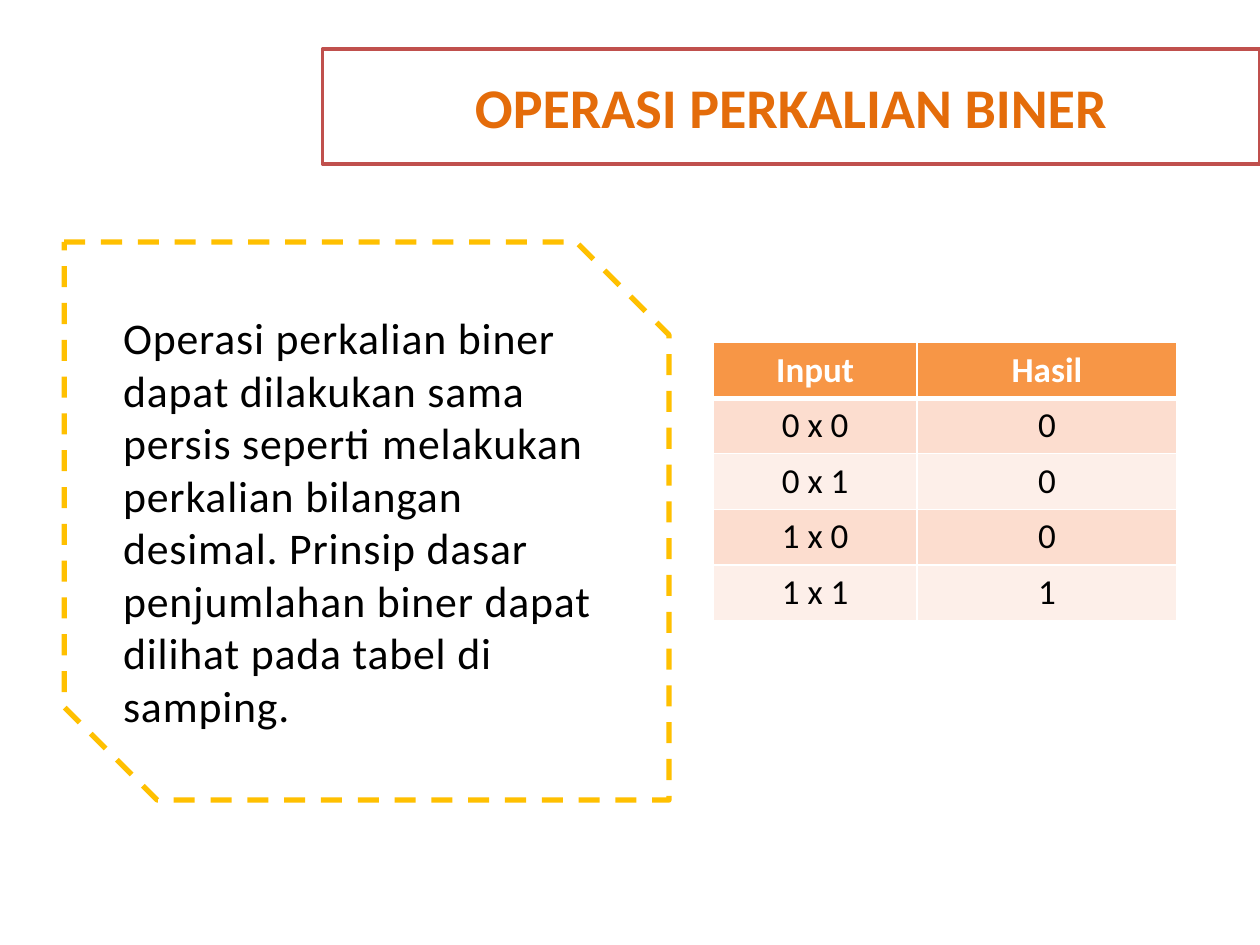
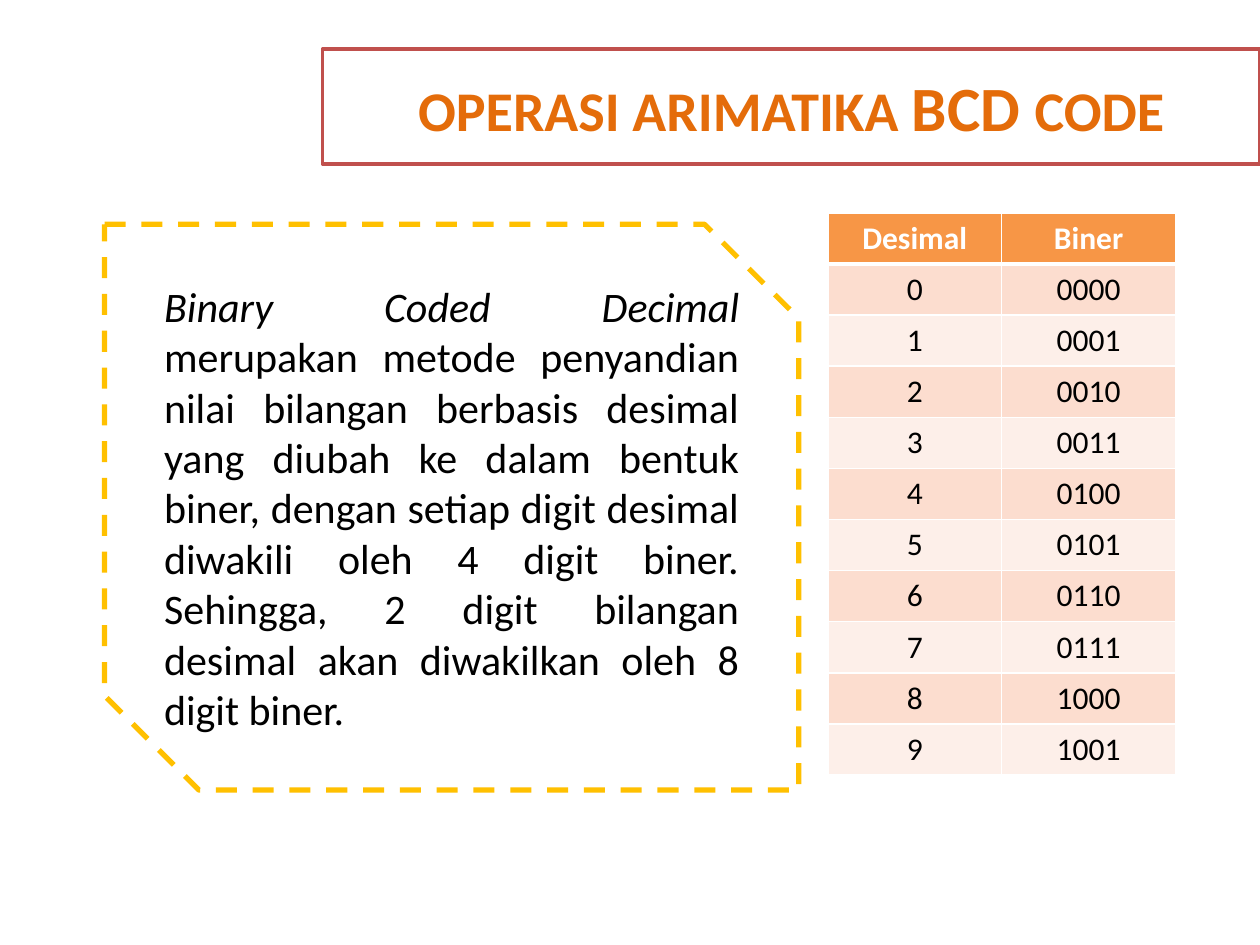
from dataclasses import dataclass

from lxml.etree import SubElement
from pptx import Presentation
from pptx.dml.color import RGBColor
from pptx.enum.dml import MSO_LINE
from pptx.enum.shapes import MSO_SHAPE
from pptx.enum.text import MSO_ANCHOR, PP_ALIGN
from pptx.oxml.ns import qn
from pptx.util import Inches, Pt


@dataclass(frozen=True)
class Theme:
    font: str = "Calibri"
    title: str = "E46C0A"
    title_border: str = "C0504D"
    frame: str = "FFC000"
    header: str = "F79646"
    bands: tuple = ("FCDDCF", "FDEFE9")
    white: str = "FFFFFF"
    ink: str = "000000"
    title_size: int = 32
    emphasis_size: int = 36


THEME = Theme()
TITLE_BOX = (2.56, 0.39, 7.44, 0.91)

LESSONS = [
    {
        "title": [("OPERASI PERKALIAN BINER", {})],
        "explanation": [(
            "Operasi perkalian biner dapat dilakukan sama persis seperti "
            "melakukan perkalian bilangan desimal. Prinsip dasar penjumlahan "
            "biner dapat dilihat pada tabel di samping.", {})],
        "frame": (0.51, 1.92, 4.8, 4.43),
        "size": 25,
        "align": PP_ALIGN.LEFT,
        "tracking": 50,
        "rows": [("Input", "Hasil")]
        + [(f"{a} x {b}", str(a * b)) for a in (0, 1) for b in (0, 1)],
        "table_at": (5.66, 2.72),
        "columns": (1.62, 2.06),
        "row_height": 0.44,
        "table_size": 20,
    },
    {
        "title": [("OPERASI ARIMATIKA ", {}),
                  ("BCD ", {"size": Pt(THEME.emphasis_size)}),
                  ("CODE", {})],
        "explanation": [
            ("Binary Coded Decimal ", {"italic": True}),
            ("merupakan metode penyandian nilai bilangan berbasis desimal "
             "yang diubah ke dalam bentuk biner, dengan setiap digit desimal "
             "diwakili oleh 4 digit biner. Sehingga, 2 digit bilangan desimal "
             "akan diwakilkan oleh 8 digit biner.", {})],
        "frame": (0.83, 1.78, 5.51, 4.49),
        "size": 24,
        "align": PP_ALIGN.JUSTIFY,
        "tracking": 0,
        "rows": [("Desimal", "Biner")]
        + [(str(n), f"{n:04b}") for n in range(10)],
        "table_at": (6.57, 1.69),
        "columns": (1.38, 1.38),
        "row_height": 4.46 / 11,
        "table_size": 18,
    },
]


def rgb(value):
    return RGBColor.from_string(value)


def style(paragraph, size, color, align, bold=False):
    paragraph.alignment = align
    font = paragraph.font
    font.name, font.size, font.bold = THEME.font, Pt(size), bold
    font.color.rgb = rgb(color)


def add_panel(slide, preset, box, border, width, pieces, size, color, align,
              bold=False, tracking=0):
    panel = slide.shapes.add_shape(preset, *map(Inches, box))
    panel.shadow.inherit = False
    panel.fill.background()
    panel.line.color.rgb = rgb(border)
    panel.line.width = Pt(width)
    frame = panel.text_frame
    frame.word_wrap = True
    frame.vertical_anchor = MSO_ANCHOR.MIDDLE
    paragraph = frame.paragraphs[0]
    style(paragraph, size, color, align, bold)
    for text, overrides in pieces:
        run = paragraph.add_run()
        run.text = text
        for attribute, value in overrides.items():
            setattr(run.font, attribute, value)
        if tracking:
            run.font._element.set("spc", str(tracking))
    return panel


def add_borders(cell, top, bottom):
    properties = cell._tc.get_or_add_tcPr()
    for side, width in (("L", 1), ("R", 1), ("T", top), ("B", bottom)):
        edge = SubElement(properties, qn(f"a:ln{side}"), w=str(Pt(width)))
        fill = SubElement(edge, qn("a:solidFill"))
        SubElement(fill, qn("a:srgbClr"), val=THEME.white)


def add_value_table(slide, lesson):
    rows, columns = lesson["rows"], lesson["columns"]
    height = lesson["row_height"]
    extent = (*lesson["table_at"], sum(columns), height * len(rows))
    table = slide.shapes.add_table(
        len(rows), len(columns), *map(Inches, extent)).table
    for column, width in zip(table.columns, columns):
        column.width = Inches(width)
    for r, values in enumerate(rows):
        table.rows[r].height = Inches(height)
        heading = r == 0
        for c, value in enumerate(values):
            cell = table.cell(r, c)
            add_borders(cell, 3 if r == 1 else 1, 3 if heading else 1)
            cell.fill.solid()
            cell.fill.fore_color.rgb = rgb(
                THEME.header if heading else THEME.bands[(r - 1) % 2])
            cell.text = value
            style(cell.text_frame.paragraphs[0], lesson["table_size"],
                  THEME.white if heading else THEME.ink,
                  PP_ALIGN.CENTER, heading)


def add_lesson(deck, lesson):
    slide = deck.slides.add_slide(deck.slide_layouts[6])
    explanation = add_panel(
        slide, MSO_SHAPE.SNIP_2_DIAG_RECTANGLE, lesson["frame"], THEME.frame,
        3, lesson["explanation"], lesson["size"], THEME.ink, lesson["align"],
        tracking=lesson["tracking"])
    explanation.line.dash_style = MSO_LINE.DASH
    add_value_table(slide, lesson)
    banner = add_panel(
        slide, MSO_SHAPE.RECTANGLE, TITLE_BOX, THEME.title_border, 2,
        lesson["title"], THEME.title_size, THEME.title, PP_ALIGN.CENTER, True)
    banner.fill.solid()
    banner.fill.fore_color.rgb = rgb(THEME.white)


def main():
    deck = Presentation()
    deck.slide_width, deck.slide_height = Inches(10), Inches(7.5)
    for lesson in LESSONS:
        add_lesson(deck, lesson)
    deck.save("out.pptx")


if __name__ == "__main__":
    main()
